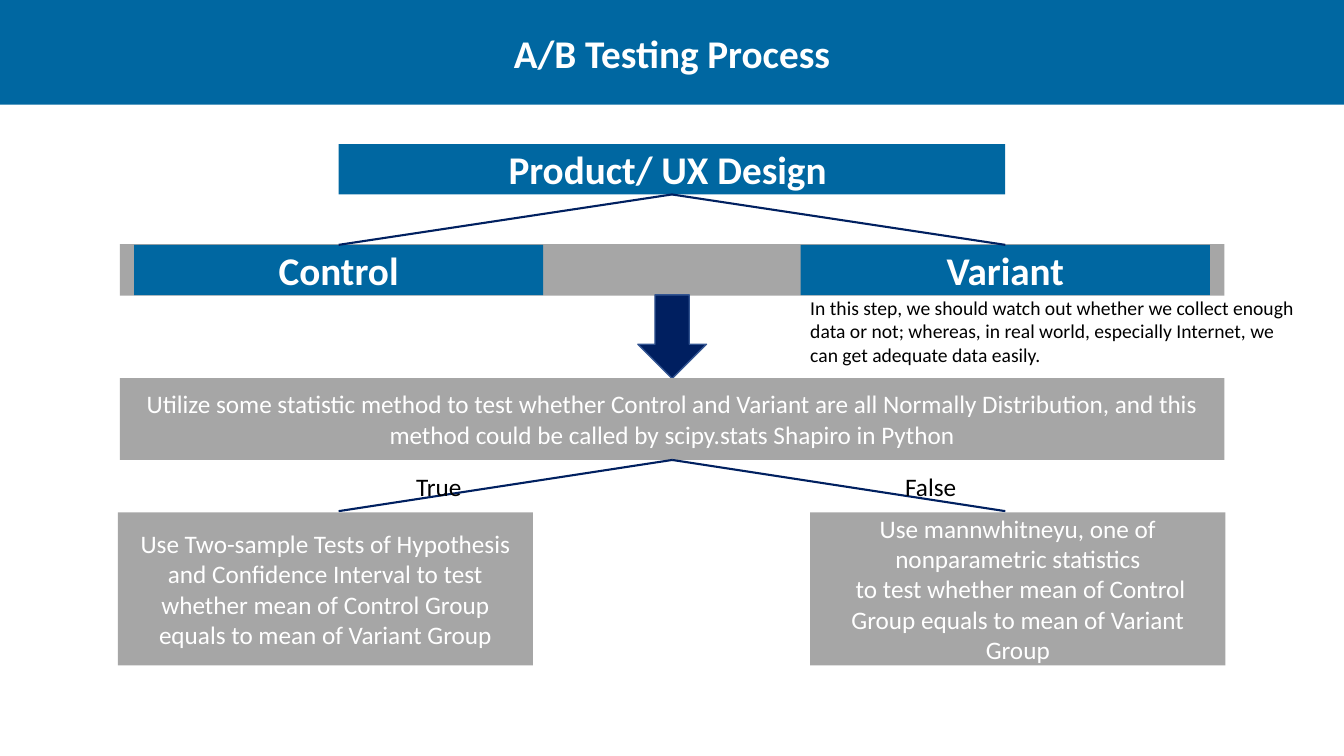
from lxml import etree
from pptx import Presentation
from pptx import util as u
from pptx.dml.color import RGBColor
from pptx.enum import shapes, text
from pptx.oxml.ns import qn

BLUE = RGBColor(0x00, 0x67, 0xA1)
GREY = RGBColor(0xA6, 0xA6, 0xA6)
NAVY = RGBColor(0x00, 0x20, 0x60)
ARROW_FILL = RGBColor(0x00, 0x1F, 0x60)
ARROW_LINE = RGBColor(0x32, 0x54, 0x91)
WHITE = RGBColor(0xFF, 0xFF, 0xFF)
BLACK = RGBColor(0x00, 0x00, 0x00)

WIDTH, HEIGHT = 33.87, 19.05
CENTRE = WIDTH / 2
BRANCH_OFFSET = 8.4
BRANCHES = (CENTRE - BRANCH_OFFSET, CENTRE + BRANCH_OFFSET)
BAND_LEFT, BAND_WIDTH = 3.02, 27.84


def write(frame, lines, size, color, bold=False, align=text.PP_ALIGN.CENTER):
    """Fill a text frame with one paragraph per line."""
    for index, line in enumerate(lines):
        paragraph = frame.paragraphs[0] if index == 0 else frame.add_paragraph()
        paragraph.alignment = align
        run = paragraph.add_run()
        run.text = line
        run.font.name = "Calibri"
        run.font.size = u.Pt(size)
        run.font.bold = bold
        run.font.color.rgb = color


def add_box(slide, box, fill, lines=(), size=18, bold=False):
    """Draw a filled rectangle with centred white text."""
    shape = slide.shapes.add_shape(shapes.MSO_SHAPE.RECTANGLE, *map(u.Cm, box))
    shape.shadow.inherit = False
    shape.fill.solid()
    shape.fill.fore_color.rgb = fill
    shape.line.fill.background()
    shape.text_frame.word_wrap = True
    shape.text_frame.vertical_anchor = text.MSO_ANCHOR.MIDDLE
    write(shape.text_frame, lines, size, WHITE, bold)
    return shape


def add_label(slide, box, line, size, wrap=False):
    """Place plain black text."""
    frame = slide.shapes.add_textbox(*map(u.Cm, box)).text_frame
    frame.word_wrap = wrap
    frame.auto_size = text.MSO_AUTO_SIZE.SHAPE_TO_FIT_TEXT
    write(frame, [line], size, BLACK, align=text.PP_ALIGN.LEFT)


def add_branch(slide, parent, x, y):
    """Draw a line from the bottom of the parent to a point and return it."""
    connector = slide.shapes.add_connector(
        shapes.MSO_CONNECTOR.STRAIGHT, u.Cm(CENTRE), u.Cm(y), u.Cm(x), u.Cm(y))
    connector.begin_connect(parent, 2)
    connector.line.color.rgb = NAVY
    connector.line.width = u.Pt(1.5)
    etree.SubElement(connector._element.spPr, qn("a:effectLst"))
    return connector


def add_arrow(slide, box):
    """Draw the downward block arrow."""
    arrow = slide.shapes.add_shape(shapes.MSO_SHAPE.DOWN_ARROW, *map(u.Cm, box))
    arrow.shadow.inherit = False
    arrow.fill.solid()
    arrow.fill.fore_color.rgb = ARROW_FILL
    arrow.line.color.rgb = ARROW_LINE
    arrow.line.width = u.Pt(1)


def add_design(slide, top):
    """Build the design split into its control and variant groups."""
    add_box(slide, (BAND_LEFT, top + 2.52, BAND_WIDTH, 1.3), GREY)
    design = add_box(slide, (CENTRE - BRANCH_OFFSET, top, 2 * BRANCH_OFFSET, 1.27),
                     BLUE, ["Product/ UX Design "], 28, True)
    group_width, group_top = 10.31, top + 2.54
    for x, name in zip(BRANCHES, ("Control", "Variant")):
        group = add_box(slide, (x - group_width / 2, group_top, group_width, 1.27),
                        BLUE, [name], 28, True)
        add_branch(slide, design, x, group_top).end_connect(group, 0)
    add_arrow(slide, (CENTRE - 0.86, top + 3.8, 1.73, 2.11))
    add_label(slide, (20.17, top + 3.69, 12.7, 2.06),
              "In this step, we should watch out whether we collect enough data or not; "
              "whereas, in real world, especially Internet, we can get adequate data easily.",
              14, wrap=True)


def add_decision(slide, top):
    """Build the normality test and its two outcomes."""
    check = add_box(slide, (BAND_LEFT, top, BAND_WIDTH, 2.06), GREY, [
        "Utilize some statistic method to test whether Control and Variant are all "
        "Normally Distribution, and this method could be called by scipy.stats "
        "Shapiro in Python"])
    outcomes = (
        ("True", 10.24, 1.68, 2.97, [
            "Use Two-sample Tests of Hypothesis and Confidence Interval to test "
            "whether mean of Control Group equals to mean of Variant Group"]),
        ("False", 22.56, 1.8, 20.42, [
            "Use mannwhitneyu, one of nonparametric statistics",
            " to test whether mean of Control Group equals to mean of Variant Group"]),
    )
    for x, (answer, label_left, label_width, left, lines) in zip(BRANCHES, outcomes):
        add_branch(slide, check, x, top + 3.35)
        add_label(slide, (label_left, top + 2.21, label_width, 1.02), answer, 18)
        add_box(slide, (left, top + 3.38, 10.46, 3.86), GREY, lines)


def main():
    """Build and save the slide."""
    presentation = Presentation()
    presentation.slide_width, presentation.slide_height = u.Cm(WIDTH), u.Cm(HEIGHT)
    slide = presentation.slides.add_slide(presentation.slide_layouts[6])
    add_box(slide, (0, 0, WIDTH, 2.64), BLUE, ["A/B Testing Process"], 28, True)
    add_design(slide, 3.63)
    add_decision(slide, 9.53)
    presentation.save("out.pptx")


if __name__ == "__main__":
    main()
